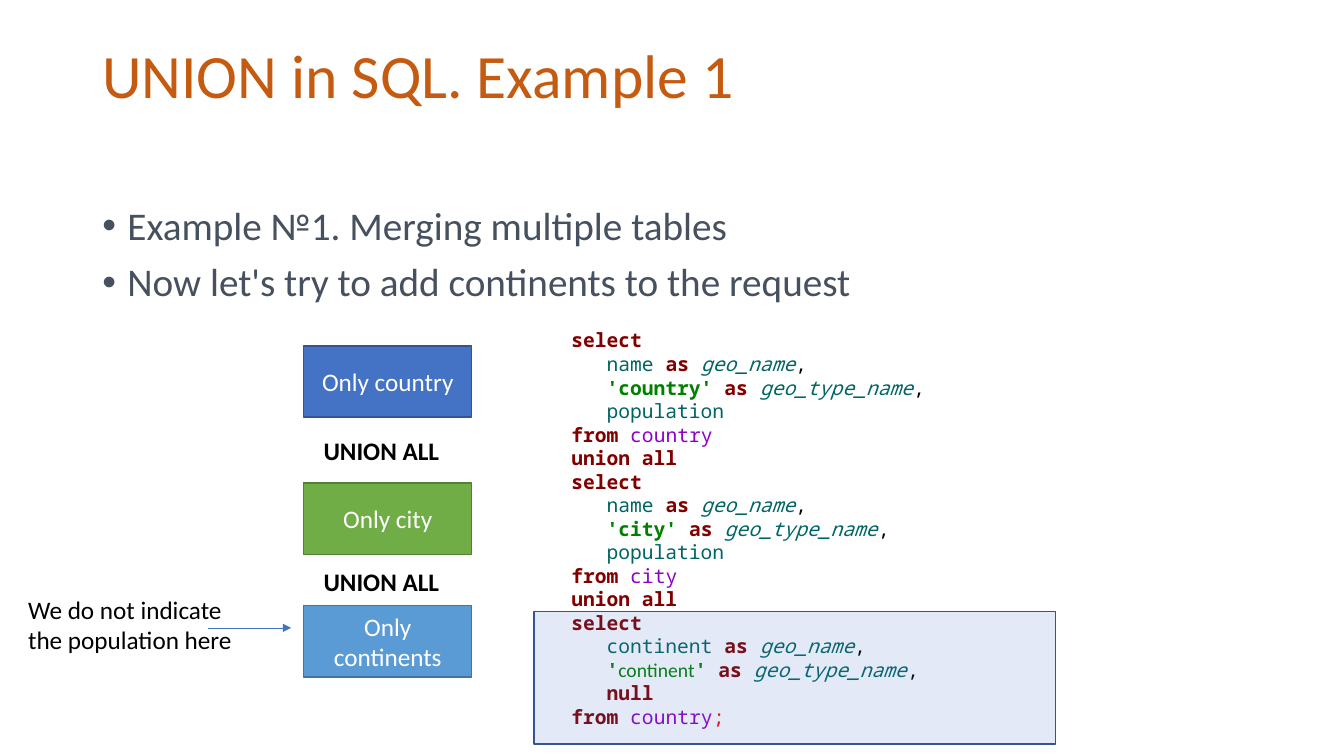
"""Build a slide showing how UNION ALL merges three SQL queries."""
from lxml.etree import SubElement
from pptx import Presentation
from pptx.dml.color import RGBColor
from pptx.enum.shapes import MSO_CONNECTOR, MSO_SHAPE
from pptx.enum.text import MSO_ANCHOR, PP_ALIGN
from pptx.oxml.ns import qn
from pptx.util import Pt

BLACK = RGBColor(0x00, 0x00, 0x00)
WHITE = RGBColor(0xFF, 0xFF, 0xFF)
ORANGE = RGBColor(0xC5, 0x5A, 0x11)
SLATE = RGBColor(0x46, 0x50, 0x5E)
BLUE = RGBColor(0x44, 0x72, 0xC4)
NAVY = RGBColor(0x32, 0x54, 0x91)
GREEN = RGBColor(0x70, 0xAD, 0x47)
DARK_GREEN = RGBColor(0x53, 0x80, 0x35)
SKY = RGBColor(0x5B, 0x9B, 0xD5)
DARK_SKY = RGBColor(0x43, 0x73, 0x9E)
MAROON = RGBColor(0x80, 0x00, 0x00)
TEAL = RGBColor(0x00, 0x64, 0x64)
STRING_GREEN = RGBColor(0x00, 0x80, 0x00)
PURPLE = RGBColor(0x8E, 0x00, 0xC6)
RED = RGBColor(0xFF, 0x00, 0x00)

SANS, MONO = "Calibri", "Noto Sans Mono"
CODE_INDENT = Pt(25.2)


def add_span(para, text, size, color, font=SANS, bold=False, italic=False):
    span = para.add_run()
    span.text = text
    span.font.size = Pt(size)
    span.font.name = font
    span.font.color.rgb = color
    span.font.bold = bold
    span.font.italic = italic


def add_text_frame(page, left, top, width, height):
    box = page.shapes.add_textbox(Pt(left), Pt(top), Pt(width), Pt(height))
    box.text_frame.word_wrap = True
    return box.text_frame


deck = Presentation()
deck.slide_width, deck.slide_height = Pt(960), Pt(540)
page = deck.slides.add_slide(deck.slide_layouts[6])

title = add_text_frame(page, 66, 28.75, 828, 104.4).paragraphs[0]
title.line_spacing = 0.9
add_span(title, "UNION in\u00a0SQL. Example 1".replace("\u00a0", " "), 44, ORANGE)

bullets = add_text_frame(page, 66, 144, 828, 85)
points = ["Example №1. Merging multiple tables",
          "Now let's try to add continents to the request"]
for index, point in enumerate(points):
    para = bullets.add_paragraph() if index else bullets.paragraphs[0]
    para.line_spacing = 0.9
    para.space_before = Pt(10)
    properties = para._p.get_or_add_pPr()
    properties.set("marL", str(Pt(18)))
    properties.set("indent", str(Pt(-18)))
    SubElement(properties, qn("a:buFont")).set("typeface", "Arial")
    SubElement(properties, qn("a:buChar")).set("char", "•")
    add_span(para, point, 28, SLATE)

sources = [("Only country", 247, BLUE, NAVY),
           ("Only city", 345, GREEN, DARK_GREEN),
           ("Only continents", 432.5, SKY, DARK_SKY)]
for label, top, fill, outline in sources:
    block = page.shapes.add_shape(MSO_SHAPE.RECTANGLE, Pt(217), Pt(top), Pt(120), Pt(51))
    block.shadow.inherit = False
    block.fill.solid()
    block.fill.fore_color.rgb = fill
    block.line.color.rgb = outline
    block.line.width = Pt(1)
    block.text_frame.word_wrap = True
    block.text_frame.vertical_anchor = MSO_ANCHOR.MIDDLE
    para = block.text_frame.paragraphs[0]
    para.alignment = PP_ALIGN.CENTER
    add_span(para, label, 18, WHITE)

for top in (307.5, 401):
    operator = add_text_frame(page, 224, top, 107, 29)
    add_span(operator.paragraphs[0], "UNION ALL", 18, BLACK, bold=True)

KEYWORD = dict(color=MAROON, font=MONO, bold=True)
COLUMN = dict(color=TEAL, font=MONO)
ALIAS = dict(color=TEAL, font=MONO, italic=True)
LITERAL = dict(color=STRING_GREEN, font=MONO, bold=True)
PLAIN_LITERAL = dict(color=STRING_GREEN)
TABLE = dict(color=PURPLE, font=MONO)
COMMA = dict(color=BLACK, font=MONO)
END = dict(color=RED, font=MONO)

queries = [
    ("name", [("'country' ", LITERAL)], ("population", COLUMN), "country"),
    ("name", [("'city' ", LITERAL)], ("population", COLUMN), "city"),
    ("continent", [("'", LITERAL), ("continent", PLAIN_LITERAL), ("' ", LITERAL)],
     ("null", KEYWORD), "country"),
]
code_lines = []
for column, literal, last_column, table in queries:
    if code_lines:
        code_lines.append((0, [("union all", KEYWORD)]))
    code_lines += [
        (0, [("select", KEYWORD)]),
        (CODE_INDENT, [(column + " ", COLUMN), ("as ", KEYWORD),
                       ("geo_name", ALIAS), (",", COMMA)]),
        (CODE_INDENT, literal + [("as ", KEYWORD), ("geo_type_name", ALIAS), (",", COMMA)]),
        (CODE_INDENT, [last_column]),
        (0, [("from ", KEYWORD), (table, TABLE)]),
    ]
code_lines[-1][1].append((";", END))

code = add_text_frame(page, 401, 231, 493, 300)
for index, (indent, spans) in enumerate(code_lines):
    para = code.add_paragraph() if index else code.paragraphs[0]
    para._p.get_or_add_pPr().set("marL", str(indent))
    for text, style in spans:
        add_span(para, text, 14, **style)

remark = add_text_frame(page, 13, 421, 165.6, 51)
add_span(remark.paragraphs[0], "We do not indicate the population here", 18, BLACK)

arrow = page.shapes.add_connector(MSO_CONNECTOR.STRAIGHT, Pt(148.5), Pt(448.5), Pt(208), Pt(448.5))
arrow.line.color.rgb = BLUE
arrow.line.width = Pt(0.5)
SubElement(arrow.line._get_or_add_ln(), qn("a:tailEnd")).set("type", "triangle")
SubElement(arrow._element.spPr, qn("a:effectLst"))

highlight = page.shapes.add_shape(MSO_SHAPE.RECTANGLE, Pt(381.5), Pt(437), Pt(372.5), Pt(94.5))
highlight.shadow.inherit = False
highlight.fill.solid()
highlight.fill.fore_color.rgb = BLUE
tint = highlight.fill._xPr.find(qn("a:solidFill"))[0]
SubElement(tint, qn("a:alpha")).set("val", "15000")
highlight.line.color.rgb = NAVY
highlight.line.width = Pt(1)

deck.save("out.pptx")
